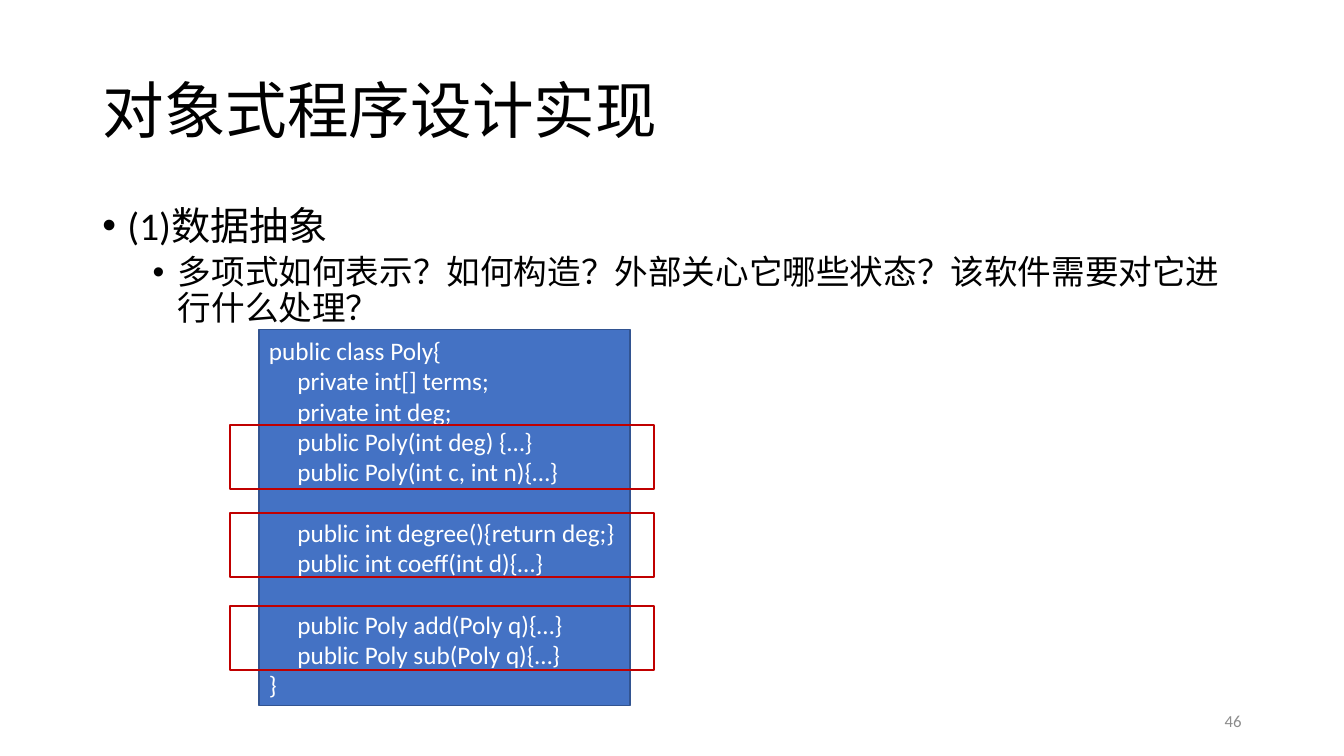
from lxml import etree
from pptx import Presentation
from pptx.dml.color import RGBColor
from pptx.enum import shapes, text
from pptx.oxml.ns import qn
from pptx.util import Pt

FONT = "Calibri"
CODE_LINE = 22  # height of one line of code

# Each group of code: indent and lines; an empty line separates the groups
CODE_GROUPS = [
    [(0, "public class Poly{"),
     (1, "private int[] terms;"),
     (1, "private int deg;"),
     (1, "public Poly(int deg) {…}"),
     (1, "public Poly(int c, int n){…}")],
    [(1, "public int degree(){return deg;}"),
     (1, "public int coeff(int d){…}")],
    [(1, "public Poly add(Poly q){…}"),
     (1, "public Poly sub(Poly q){…}"),
     (0, "}")],
]


def rgb(color):
    return RGBColor.from_string(color)


def format_paragraph(p, size, color="000000", align=text.PP_ALIGN.LEFT):
    p.alignment = align
    for r in p.runs:
        r.font.name = FONT
        r.font.size = Pt(size)
        r.font.color.rgb = rgb(color)


def set_indent(p, left, first=0):
    pPr = p._p.get_or_add_pPr()
    pPr.set("marL", str(Pt(left)))
    pPr.set("indent", str(Pt(first)))
    return pPr


def add_title(slide, title, left, top, width, height):
    sp = slide.shapes.title
    sp.left, sp.top, sp.width, sp.height = map(Pt, (left, top, width, height))
    tf = sp.text_frame
    tf.text = title
    tf.auto_size = text.MSO_AUTO_SIZE.NONE
    tf.vertical_anchor = text.MSO_ANCHOR.MIDDLE
    tf.paragraphs[0].line_spacing = 0.9
    format_paragraph(tf.paragraphs[0], 44)


def add_text_box(slide, left, top, width, height):
    tf = slide.shapes.add_textbox(*map(Pt, (left, top, width, height))).text_frame
    tf.word_wrap = True
    return tf


def add_bullets(slide, items, left, top, width, height):
    tf = add_text_box(slide, left, top, width, height)
    for i, (level, size, before, line) in enumerate(items):
        p = tf.paragraphs[0] if i == 0 else tf.add_paragraph()
        p.text = line
        p.level = level
        p.line_spacing = 0.9
        p.space_before = Pt(before)
        format_paragraph(p, size)
        pPr = set_indent(p, 18 + 36 * level, -18)
        etree.SubElement(pPr, qn("a:buFont")).set("typeface", "Arial")
        etree.SubElement(pPr, qn("a:buChar")).set("char", "•")


def add_rect(slide, left, top, width, height, line, line_width, fill=None):
    sp = slide.shapes.add_shape(shapes.MSO_SHAPE.RECTANGLE,
                                *map(Pt, (left, top, width, height)))
    sp.shadow.inherit = False
    sp.line.color.rgb = rgb(line)
    sp.line.width = Pt(line_width)
    if fill:
        sp.fill.solid()
        sp.fill.fore_color.rgb = rgb(fill)
    else:
        sp.fill.background()
    return sp


def add_code(slide, left, top, width, height):
    sp = add_rect(slide, left, top, width, height, "325491", 1, "4472C4")
    tf = sp.text_frame
    tf.word_wrap = False
    tf.vertical_anchor = text.MSO_ANCHOR.MIDDLE
    for g, group in enumerate(CODE_GROUPS):
        for i, (level, line) in enumerate(group):
            p = tf.paragraphs[0] if g == i == 0 else tf.add_paragraph()
            p.text = line
            if g and i == 0:
                p.space_before = Pt(CODE_LINE)
            format_paragraph(p, 18, "FFFFFF")
            set_indent(p, 20.3 * level)


def add_page_number(slide, number, left, top, width, height):
    tf = add_text_box(slide, left, top, width, height)
    tf.vertical_anchor = text.MSO_ANCHOR.MIDDLE
    tf.text = number
    format_paragraph(tf.paragraphs[0], 12, "8C8C8C", text.PP_ALIGN.RIGHT)


def main():
    prs = Presentation()
    prs.slide_width, prs.slide_height = Pt(960), Pt(540)
    slide = prs.slides.add_slide(prs.slide_layouts[5])

    # Heading and questions
    add_title(slide, "对象式程序设计实现", 66, 28.8, 828, 104.4)
    add_bullets(slide, [
        (0, 28, 10, "(1)数据抽象"),
        (1, 24, 5, "多项式如何表示？如何构造？外部关心它哪些状态？该软件需要对它进行什么处理？"),
    ], 66, 143.8, 828, 342.6)

    # Class listing, with frames around constructors, observers and operations
    add_code(slide, 185, 235.2, 265, 269)
    for top in (303.6, 366.4, 432.8):
        add_rect(slide, 164, top, 303, 45.5, "C00000", 1.5)

    add_page_number(slide, "46", 678, 500.5, 216, 28.8)
    prs.save("out.pptx")


if __name__ == "__main__":
    main()
